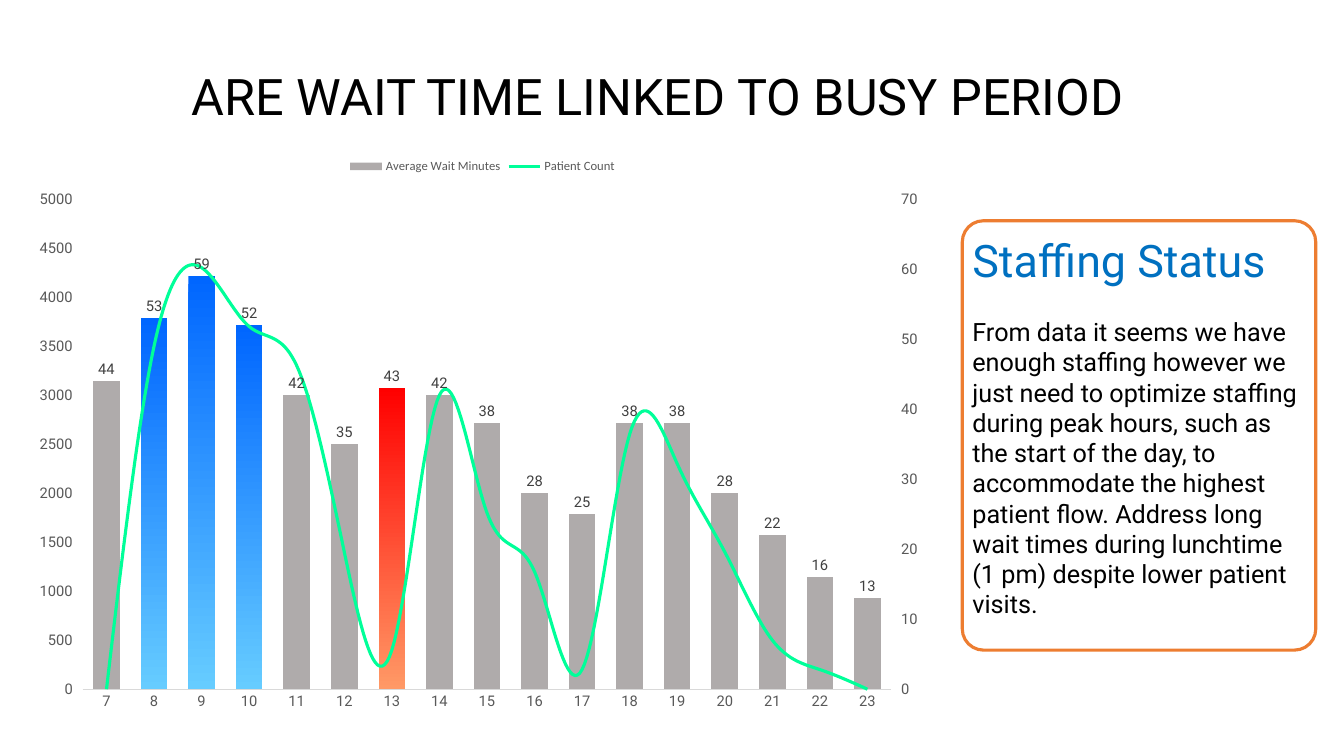
import copy

import pptx
import pptx.chart.data
import pptx.dml.color
import pptx.enum.chart
import pptx.enum.shapes
import pptx.enum.text
import pptx.oxml
import pptx.oxml.ns
import pptx.util

HOURS = range(7, 24)
WAIT_MINUTES = [44, 53, 59, 52, 42, 35, 43, 42, 38, 28, 25, 38, 38, 28, 22, 16, 13]
PATIENTS = [0, 3500, 4300, 3700, 3300, 1400, 400, 3000, 1800, 1200, 200,
            2600, 2300, 1400, 500, 200, 0]
BUSY = ("0066FF", "66CCFF")
LUNCH = ("FF0000", "FF9966")
HIGHLIGHTS = {8: BUSY, 9: BUSY, 10: BUSY, 13: LUNCH}
ADVICE = (
    "From data it seems we have enough staffing however we just need to optimize "
    "staffing during peak hours, such as the start of the day, to accommodate the "
    "highest patient flow. Address long wait times during lunchtime (1 pm) despite "
    "lower patient visits."
)
LINE_CHART = (
    f'<c:lineChart {pptx.oxml.ns.nsdecls("c")}><c:grouping val="standard"/>'
    '<c:varyColors val="0"/><c:marker val="1"/>'
    '<c:axId val="5001"/><c:axId val="5002"/></c:lineChart>'
)
PLOT_LAYOUT = (
    f'<c:layout {pptx.oxml.ns.nsdecls("c")}><c:manualLayout>'
    '<c:layoutTarget val="inner"/><c:xMode val="edge"/><c:yMode val="edge"/>'
    '<c:x val="0.06"/><c:y val="0.09"/><c:w val="0.89"/><c:h val="0.86"/>'
    '</c:manualLayout></c:layout>'
)


def rgb(value):
    return pptx.dml.color.RGBColor.from_string(value)


class Deck:
    font = "Roboto"
    grey = "595959"

    def __init__(self):
        self.prs = pptx.Presentation()
        self.prs.slide_width = pptx.util.Inches(13.33)
        self.prs.slide_height = pptx.util.Inches(7.5)
        self.slide = self.prs.slides.add_slide(self.prs.slide_layouts[1])

    def area(self, x, y, w, h):
        """Turn percentages of the slide into left, top, width, height."""
        sw, sh = self.prs.slide_width, self.prs.slide_height
        return [int(share * side / 100) for share, side in zip((x, y, w, h), (sw, sh, sw, sh))]

    def style(self, font, size, color, name=None):
        font.name = name or self.font
        font.size = pptx.util.Pt(size)
        font.color.rgb = rgb(color)

    def text(self, index, area, paragraphs):
        """Fill a placeholder with (text, size, color, space before) paragraphs."""
        sp = self.slide.placeholders[index]
        sp.left, sp.top, sp.width, sp.height = self.area(*area)
        tf = sp.text_frame
        tf.word_wrap = True
        tf.auto_size = pptx.enum.text.MSO_AUTO_SIZE.NONE
        tf.vertical_anchor = pptx.enum.text.MSO_ANCHOR.TOP
        for i, (text, size, color, before) in enumerate(paragraphs):
            p = tf.add_paragraph() if i else tf.paragraphs[0]
            p.alignment = pptx.enum.text.PP_ALIGN.LEFT
            p.space_before = pptx.util.Pt(before)
            pPr = p._p.get_or_add_pPr()
            pPr.set("marL", "0")
            pPr.set("indent", "0")
            pPr.append(pptx.oxml.parse_xml(f'<a:buNone {pptx.oxml.ns.nsdecls("a")}/>'))
            r = p.add_run()
            r.text = text
            self.style(r.font, size, color)

    def frame(self, area, color):
        sp = self.slide.shapes.add_shape(
            pptx.enum.shapes.MSO_SHAPE.ROUNDED_RECTANGLE, *self.area(*area))
        sp.adjustments[0] = 0.06
        sp.shadow.inherit = False
        sp.fill.background()
        sp.line.color.rgb = rgb(color)
        sp.line.width = pptx.util.Pt(2.25)

    def chart(self, area):
        data = pptx.chart.data.CategoryChartData(number_format="0")
        data.categories = [str(hour) for hour in HOURS]
        data.add_series("Average Wait Minutes", WAIT_MINUTES)
        data.add_series("Patient Count", PATIENTS)
        chart = self.slide.shapes.add_chart(
            pptx.enum.chart.XL_CHART_TYPE.COLUMN_CLUSTERED, *self.area(*area), data).chart
        chart.has_title = False
        self.style(chart.font, 10, "000000", "Calibri")
        chart.has_legend = True
        chart.legend.position = pptx.enum.chart.XL_LEGEND_POSITION.TOP
        chart.legend.include_in_layout = False
        self.style(chart.legend.font, 9, self.grey, "Calibri")
        self.axes(chart)
        self.split_line(chart)
        self.bars(chart.plots[0])
        self.curve(chart.plots[1].series[0])

    def axes(self, chart):
        hours, minutes = chart.category_axis, chart.value_axis
        for axis in (hours, minutes):
            axis.has_major_gridlines = False
            axis.major_tick_mark = pptx.enum.chart.XL_TICK_MARK.NONE
            axis.minor_tick_mark = pptx.enum.chart.XL_TICK_MARK.NONE
            self.style(axis.tick_labels.font, 10.5, self.grey)
        hours.format.line.color.rgb = rgb("D9D9D9")
        hours.crosses = pptx.enum.chart.XL_AXIS_CROSSES.MAXIMUM
        minutes.format.line.fill.background()
        minutes.minimum_scale, minutes.maximum_scale = 0, 70
        minutes.major_unit = 10
        minutes.tick_label_position = pptx.enum.chart.XL_TICK_LABEL_POSITION.HIGH
        minutes.tick_labels.number_format = "0"
        minutes.tick_labels.number_format_is_linked = False

    def split_line(self, chart):
        """Move the second series to a line plot with its own axes, scaled on the left."""
        plot = chart.element.xpath("c:chart/c:plotArea")[0]
        for layout in plot.xpath("c:layout"):
            plot.remove(layout)
        plot.insert(0, pptx.oxml.parse_xml(PLOT_LAYOUT))
        bars = plot.xpath("c:barChart")[0]
        ser = bars.xpath("c:ser")[1]
        for flag in ser.xpath("c:invertIfNegative"):
            ser.remove(flag)
        line = pptx.oxml.parse_xml(LINE_CHART)
        line.insert(2, ser)
        bars.addnext(line)

        cat, val = plot.xpath("c:catAx")[0], plot.xpath("c:valAx")[0]
        cat2, val2 = copy.deepcopy(cat), copy.deepcopy(val)
        val.addnext(val2)
        val2.addnext(cat2)
        changes = [
            (val, {"axPos": "r"}),
            (cat2, {"axId": "5001", "crossAx": "5002", "delete": "1"}),
            (val2, {"axId": "5002", "crossAx": "5001", "axPos": "l", "crosses": "min",
                    "tickLblPos": "low", "scaling/c:max": "5000", "majorUnit": "500"}),
        ]
        for axis, values in changes:
            for tag, value in values.items():
                axis.xpath(f"c:{tag}")[0].set("val", value)

    def bars(self, plot):
        plot.gap_width, plot.overlap = 79, -24
        plot.vary_by_categories = False
        ser = plot.series[0]
        ser.format.fill.solid()
        ser.format.fill.fore_color.rgb = rgb("AFABAB")
        for hour, colors in HIGHLIGHTS.items():
            fill = ser.points[HOURS.index(hour)].format.fill
            fill.gradient()
            fill.gradient_angle = 270
            for stop, color in zip(fill.gradient_stops, colors):
                stop.color.rgb = rgb(color)
        labels = ser.data_labels
        labels.show_value = True
        labels.number_format = "0"
        labels.number_format_is_linked = False
        labels.position = pptx.enum.chart.XL_LABEL_POSITION.OUTSIDE_END
        self.style(labels.font, 10.5, "404040")

    def curve(self, ser):
        ser.smooth = True
        ser.marker.style = pptx.enum.chart.XL_MARKER_STYLE.NONE
        ser.format.line.color.rgb = rgb("00FF99")
        ser.format.line.width = pptx.util.Pt(2.25)


def main():
    deck = Deck()
    deck.text(0, (13.5, 8, 73, 9.5), [("ARE WAIT TIME LINKED TO BUSY PERIOD", 36, "000000", 0)])
    deck.text(1, (71.6, 30.1, 26.4, 54), [
        ("Staffing Status", 32, "0070C0", 0),
        (ADVICE, 18, "000000", 21.5),
    ])
    deck.frame((71.6, 29.2, 26.3, 56.8), "ED7D31")
    deck.chart((2.1, 19.55, 67.6, 75.4))
    deck.prs.save("out.pptx")


if __name__ == "__main__":
    main()
